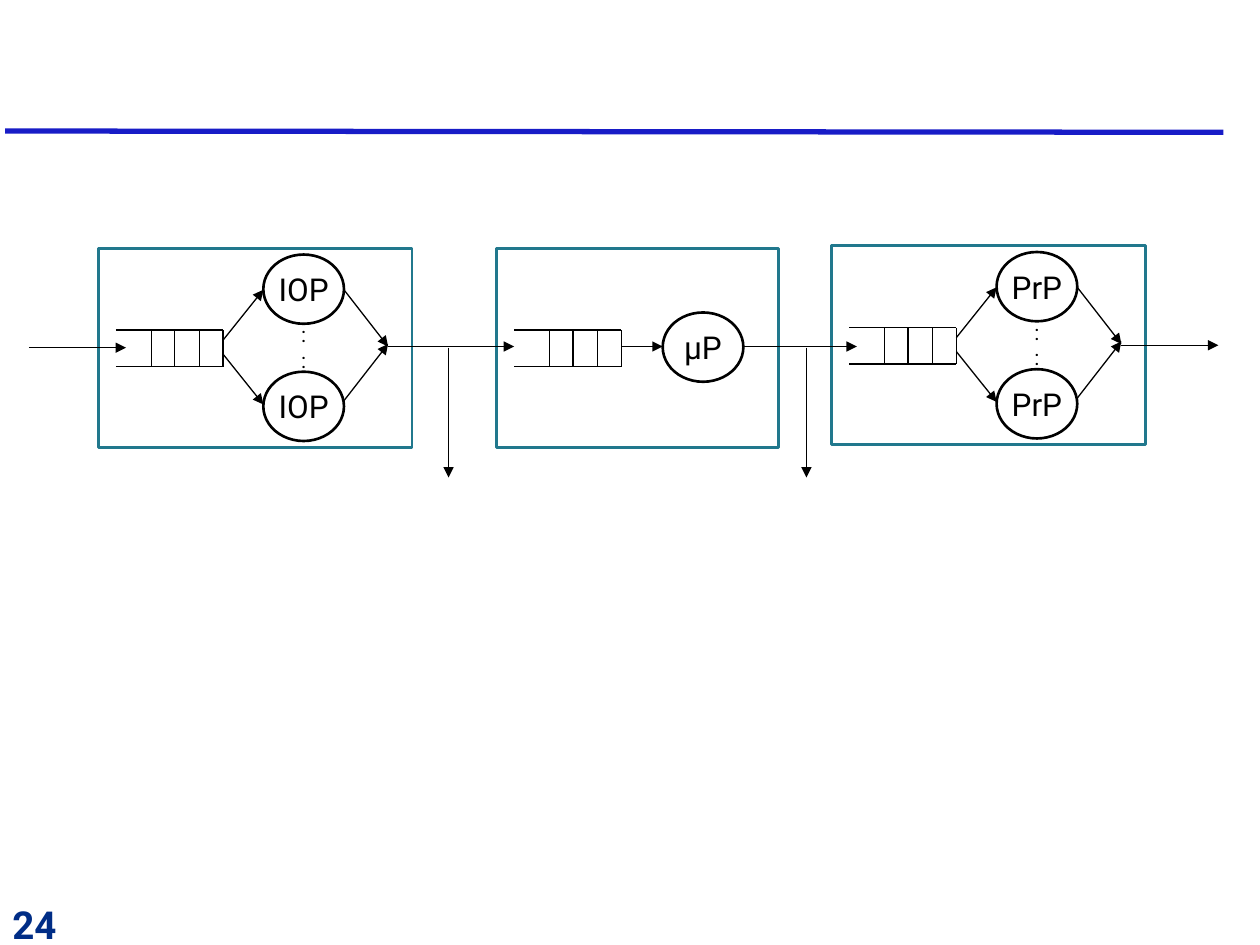
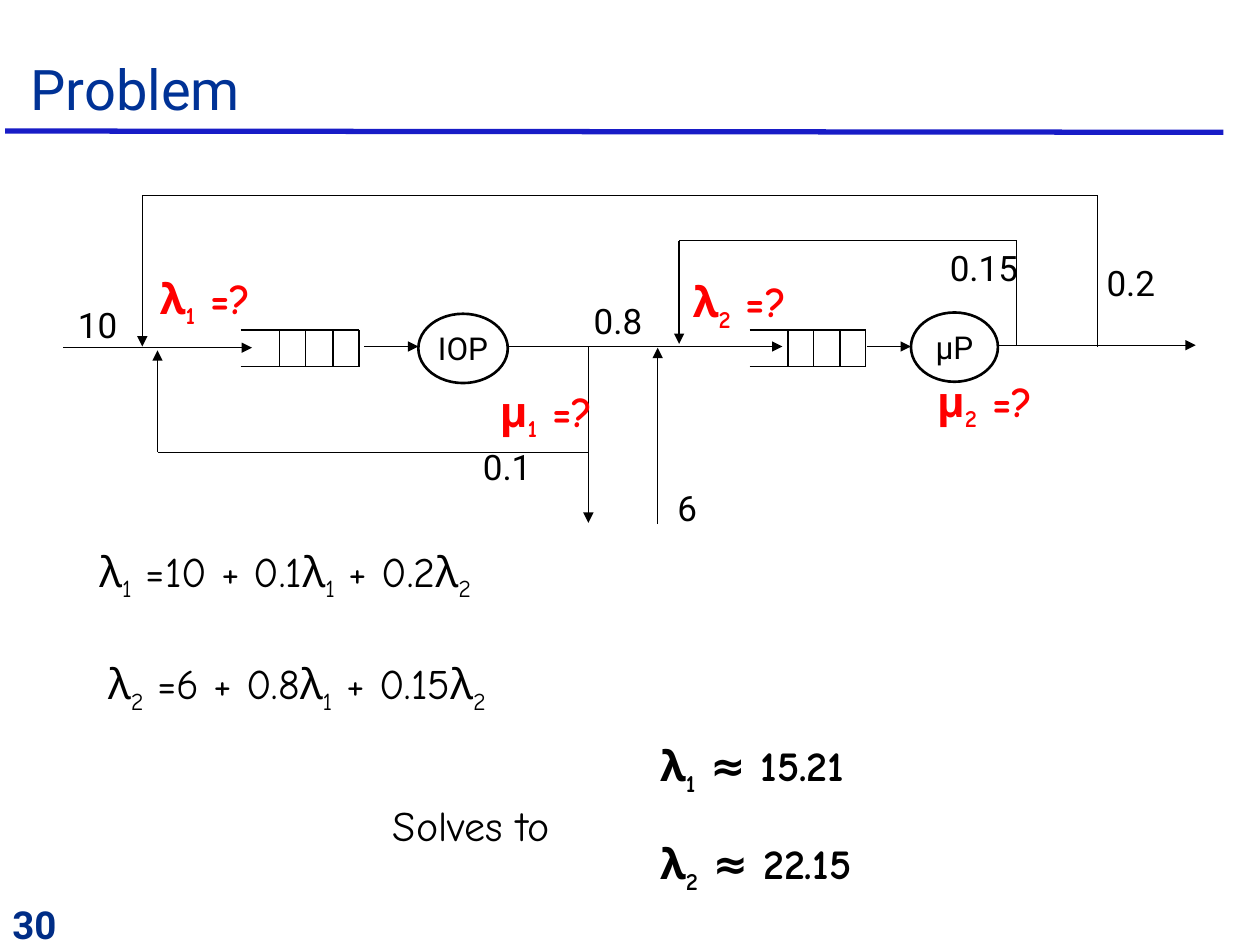
import pptx
import pptx.dml.color
import pptx.enum.shapes
import pptx.enum.text
import pptx.oxml.ns
import pptx.util
from lxml import etree

Inches = pptx.util.Inches
Pt = pptx.util.Pt
SHAPES = pptx.enum.shapes.MSO_SHAPE
ALIGN = pptx.enum.text.PP_ALIGN
ANCHOR = pptx.enum.text.MSO_ANCHOR
AUTO_SIZE = pptx.enum.text.MSO_AUTO_SIZE

BLACK, WHITE, RED = "000000", "FFFFFF", "FF0000"
TITLE_BLUE, NUMBER_BLUE, RULE_BLUE, STAGE_TEAL = "003296", "002D86", "181CC7", "21788D"
SANS, HAND = "Roboto", "Comic Neue"
TITLE_ONLY, BLANK = 5, 6
SERVER_HEIGHT = 0.55
QUEUE_HEIGHT = 0.29
SLOT_EDGES = (0.33, 0.55, 0.78, 1)  # shares of the queue width


def color(hex_string):
    return pptx.dml.color.RGBColor.from_string(hex_string)


def add_xml(parent, tag, **attributes):
    return etree.SubElement(parent, pptx.oxml.ns.qn(tag), **attributes)


class Deck:
    """Holds the presentation, its style and the slide being filled."""

    def __init__(self):
        self.presentation = pptx.Presentation()
        self.presentation.slide_width = Inches(10)
        self.presentation.slide_height = Inches(7.5)
        self.slide = None

    def start_slide(self, number, title=None):
        layout = self.presentation.slide_layouts[TITLE_ONLY if title else BLANK]
        self.slide = self.presentation.slides.add_slide(layout)
        self.line((0.04, 1.04), (9.71, 1.05), RULE_BLUE, 3)
        if title:
            self.title(title)
        page_number = self.text_box(0, 7.1, 2.17, 0.4)
        self.run(page_number.paragraphs[0], str(number), 22, NUMBER_BLUE, bold=True)

    def title(self, text):
        heading = self.slide.shapes.title
        heading.left, heading.top = Inches(0.14), Inches(0)
        heading.width, heading.height = Inches(9.86), Inches(1.02)
        frame = heading.text_frame
        frame.vertical_anchor = ANCHOR.BOTTOM
        frame.paragraphs[0].alignment = ALIGN.LEFT
        self.run(frame.paragraphs[0], text, 32, TITLE_BLUE)

    def run(self, paragraph, text, size, hex_string=BLACK, font=SANS, bold=False):
        run = paragraph.add_run()
        run.text = text
        run.font.name, run.font.size, run.font.bold = font, Pt(size), bold
        run.font.color.rgb = color(hex_string)
        return run

    def text_box(self, left, top, width, height):
        box = self.slide.shapes.add_textbox(
            Inches(left), Inches(top), Inches(width), Inches(height))
        box.text_frame.word_wrap = True
        return box.text_frame

    def formula(self, left, top, width, text, hex_string=BLACK, bold=False):
        """Write one line; the character after each underscore is a subscript."""
        frame = self.text_box(left, top, width, 0.5)
        frame.word_wrap = False
        frame.auto_size = AUTO_SIZE.SHAPE_TO_FIT_TEXT
        style = (24, hex_string, HAND, bold)
        paragraph = frame.paragraphs[0]
        start, *indexed = text.split("_")
        self.run(paragraph, start, *style)
        for part in indexed:
            index = self.run(paragraph, part[0], *style)
            index.font._element.set("baseline", "-25000")
            if part[1:]:
                self.run(paragraph, part[1:], *style)

    def shape(self, kind, left, top, width, height, fill=None, outline=None):
        shape = self.slide.shapes.add_shape(
            kind, Inches(left), Inches(top), Inches(width), Inches(height))
        shape.shadow.inherit = False
        if fill:
            shape.fill.solid()
            shape.fill.fore_color.rgb = color(fill)
        else:
            shape.fill.background()
        if outline:
            shape.line.color.rgb = color(outline)
            shape.line.width = Pt(1.5)
        else:
            shape.line.fill.background()
        return shape

    def label(self, left, top, width, *lines, size=20, fill=None, outline=None):
        """Centre lines of text in an oval, which may stay unseen."""
        oval = self.shape(SHAPES.OVAL, left, top, width, SERVER_HEIGHT, fill, outline)
        frame = oval.text_frame
        frame.word_wrap = False
        frame.vertical_anchor = ANCHOR.MIDDLE
        frame.margin_left = frame.margin_right = 0
        frame.margin_top = frame.margin_bottom = 0
        for position, text in enumerate(lines):
            paragraph = frame.add_paragraph() if position else frame.paragraphs[0]
            paragraph.alignment = ALIGN.CENTER
            self.run(paragraph, text, size)

    def server(self, left, top, name, width=0.64):
        self.label(left, top, width, name, size=18, fill=WHITE, outline=BLACK)

    def stage_frame(self, left, top, width):
        self.shape(SHAPES.RECTANGLE, left, top, width, 1.58, outline=STAGE_TEAL)

    def line(self, start, end, hex_string=BLACK, weight=0.75, arrow=False):
        connector = self.slide.shapes.add_connector(
            pptx.enum.shapes.MSO_CONNECTOR.STRAIGHT,
            *(Inches(value) for value in (*start, *end)))
        connector.line.color.rgb = color(hex_string)
        connector.line.width = Pt(weight)
        if arrow:
            add_xml(connector.line._get_or_add_ln(), "a:tailEnd", type="triangle")
        add_xml(connector._element.spPr, "a:effectLst")

    def route(self, *points):
        """Join the points by lines, with an arrowhead at the last one."""
        for start, end in zip(points, points[1:]):
            self.line(start, end, arrow=end == points[-1])

    def queue(self, left, top, width):
        bottom = top + QUEUE_HEIGHT
        for y in (top, bottom):
            self.line((left, y), (left + width, y))
        for share in SLOT_EDGES:
            x = left + width * share
            self.line((x, top), (x, bottom))

    def parallel_stage(self, left, top, name):
        """Draw a queue that feeds several equal servers."""
        def at(x, y):
            return left + x, top + y

        self.queue(*at(0.14, 0.65), 0.85)
        for y in (0.05, 0.98):
            self.server(*at(1.31, y), name)
        self.label(*at(1.31, 0.51), 0.64, ":", ":", size=12)
        self.stage_frame(left, top, 2.49)
        for start, end in (
            ((0.99, 0.73), (1.31, 0.33)),
            ((0.99, 0.84), (1.31, 1.24)),
            ((1.95, 0.33), (2.3, 0.78)),
            ((1.95, 1.21), (2.3, 0.76)),
        ):
            self.route(at(*start), at(*end))


def build_stage_overview(deck):
    deck.start_slide(24)
    deck.parallel_stage(0.78, 1.97, "IOP")

    deck.server(5.26, 2.48, "μP")
    deck.queue(4.08, 2.62, 0.85)
    deck.stage_frame(3.94, 1.97, 2.24)
    deck.route((4.94, 2.75), (5.26, 2.75))

    deck.parallel_stage(6.6, 1.95, "PrP")

    deck.route((0.23, 2.76), (1, 2.76))
    deck.route((3.08, 2.75), (4.08, 2.75))
    deck.route((5.9, 2.75), (6.8, 2.75))
    deck.route((8.9, 2.74), (9.67, 2.74))
    for exit_x in (3.56, 6.4):
        deck.route((exit_x, 2.76), (exit_x, 3.79))


def build_problem(deck):
    deck.start_slide(30, "Problem")
    deck.server(3.32, 2.49, "IOP", 0.71)
    deck.queue(1.91, 2.62, 0.94)
    deck.server(7.23, 2.48, "μP", 0.69)
    deck.queue(5.95, 2.62, 0.92)

    for start_x, end_x, y in (
        (0.5, 2, 2.76), (2.89, 3.32, 2.75), (4.03, 6.21, 2.75),
        (6.88, 7.23, 2.75), (7.92, 9.49, 2.74),
    ):
        deck.route((start_x, y), (end_x, y))
    deck.route((4.67, 2.75), (4.67, 4.15))
    deck.route((5.22, 4.16), (5.22, 2.76))

    deck.route((4.67, 3.59), (1.25, 3.59), (1.25, 2.78))
    deck.route((8.07, 2.74), (8.07, 1.91), (5.39, 1.91), (5.39, 2.73))
    deck.route((8.71, 2.75), (8.71, 1.55), (1.13, 1.55), (1.13, 2.75))

    for left, top, width, rate in (
        (0.42, 2.3, 0.71, "10"), (5.1, 3.75, 0.71, "6"),
        (4.55, 2.27, 0.71, "0.8"), (3.67, 3.43, 0.71, "0.1"),
        (7.36, 1.85, 0.9, "0.15"), (8.62, 1.97, 0.71, "0.2"),
    ):
        deck.label(left, top, width, rate)

    for left, top, unknown in (
        (1.17, 2.11, "λ_1"), (5.4, 2.14, "λ_2"),
        (7.34, 2.93, "μ_2"), (3.87, 3.01, "μ_1"),
    ):
        deck.formula(left, top, 1.06, unknown + " =?", RED, bold=True)

    deck.formula(0.69, 4.28, 3.48, "λ_1 =10 + 0.1λ_1 + 0.2λ_2")
    deck.formula(0.76, 5.17, 3.57, "λ_2 =6 + 0.8λ_1 + 0.15λ_2")
    deck.formula(5.14, 5.82, 1.96, "λ_1 ≈ 15.21", bold=True)
    deck.formula(5.14, 6.6, 1.96, "λ_2 ≈ 22.15", bold=True)
    deck.formula(3.02, 6.3, 1.65, "Solves to")


def main():
    deck = Deck()
    build_stage_overview(deck)
    build_problem(deck)
    deck.presentation.save("out.pptx")


if __name__ == "__main__":
    main()
